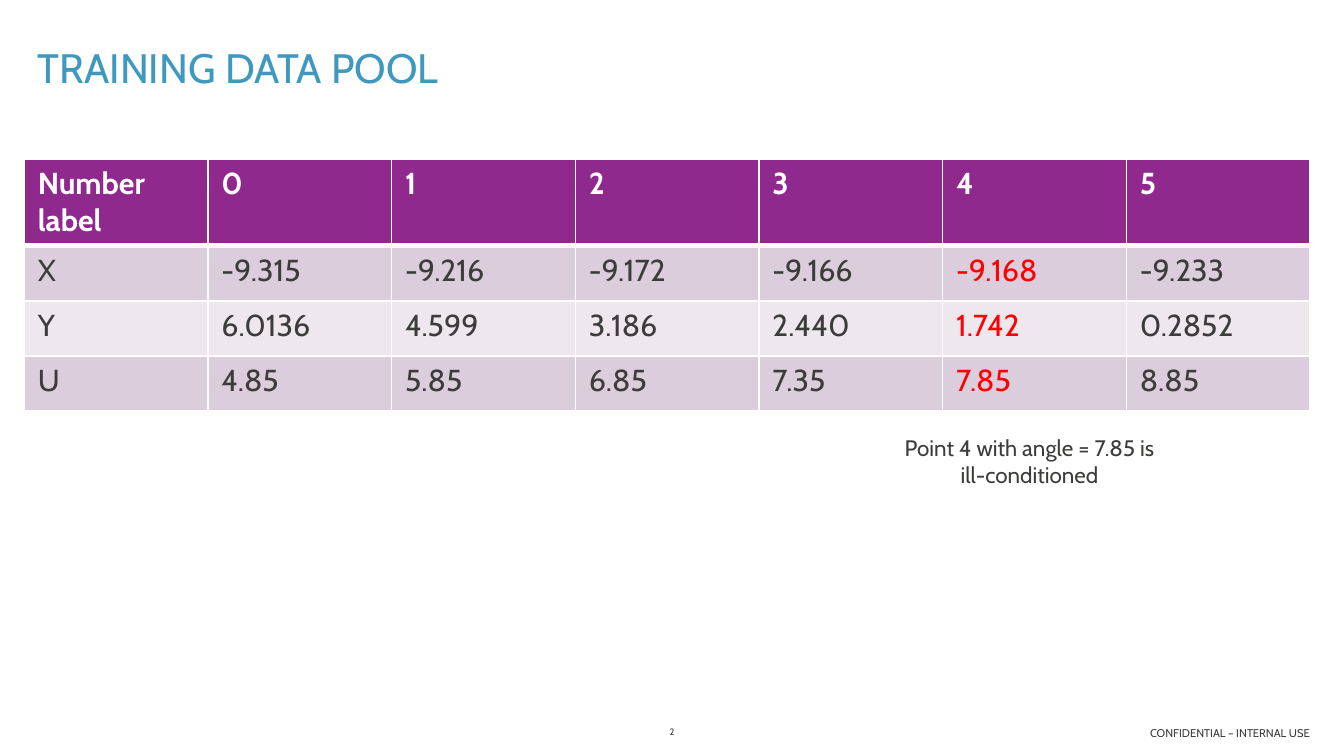
from lxml import etree
from pptx import Presentation
from pptx import util as u
from pptx.dml.color import RGBColor
from pptx.enum import text as t
from pptx.oxml import ns

COLORS = {
    "title": "3F98BD", "body": "3C3C3B", "alert": "FF0000", "white": "FFFFFF",
    "header": "90298D", "band_dark": "DBCDDB", "band_light": "EEE8EE",
}
HEADER = ["Number label", "0", "1", "2", "3", "4", "5"]
READINGS = [
    ["X", "-9.315", "-9.216", "-9.172", "-9.166", "-9.168", "-9.233"],
    ["Y", "6.0136", "4.599", "3.186", "2.440", "1.742", "0.2852"],
    ["U", "4.85", "5.85", "6.85", "7.35", "7.85", "8.85"],
]
ILL_CONDITIONED = HEADER.index("4")


def write(frame, text, size=12, color="body", bold=False,
          align=t.PP_ALIGN.LEFT, anchor=t.MSO_ANCHOR.TOP):
    frame.word_wrap = True
    frame.vertical_anchor = anchor
    paragraph = frame.paragraphs[0]
    paragraph.alignment = align
    run = paragraph.add_run()
    run.text = text
    run.font.name = "Cabin"
    run.font.size = u.Pt(size)
    run.font.bold = bold
    run.font.color.rgb = RGBColor.from_string(COLORS[color])


def place(shape, left, top, width, height):
    shape.left, shape.top = u.Cm(left), u.Cm(top)
    shape.width, shape.height = u.Cm(width), u.Cm(height)


def add_borders(cell, color, **widths):
    """Draw cell sides L, R, T and B with the given widths in points."""
    properties = cell._tc.get_or_add_tcPr()
    for side, width in widths.items():
        line = etree.SubElement(properties, ns.qn(f"a:ln{side}"), w=str(u.Pt(width)))
        fill = etree.SubElement(line, ns.qn("a:solidFill"))
        etree.SubElement(fill, ns.qn("a:srgbClr"), val=COLORS[color])


class SlideBuilder:
    def __init__(self, presentation):
        self.slide = presentation.slides.add_slide(presentation.slide_layouts[5])

    def title(self, text, *box):
        title = self.slide.shapes.title
        place(title, *box)
        title.text_frame.auto_size = t.MSO_AUTO_SIZE.NONE
        write(title.text_frame, text, size=22, color="title",
              anchor=t.MSO_ANCHOR.BOTTOM)

    def label(self, text, *box, right_inset=0.25, **style):
        shape = self.slide.shapes.add_textbox(*map(u.Cm, box))
        shape.text_frame.margin_right = u.Cm(right_inset)
        write(shape.text_frame, text, **style)

    def table(self, rows, left, top, width, header_height, row_height):
        height = header_height + row_height * (len(rows) - 1)
        table = self.slide.shapes.add_table(
            len(rows), len(rows[0]), *map(u.Cm, (left, top, width, height))).table
        for column in table.columns:
            column.width = u.Cm(width / len(rows[0]))
        for i, values in enumerate(rows):
            table.rows[i].height = u.Cm(row_height if i else header_height)
            for j, value in enumerate(values):
                self.cell(table.cell(i, j), value, i, j)

    def cell(self, cell, value, row, column):
        is_header = row == 0
        if is_header:
            fill, color = "header", "white"
        else:
            fill = "band_dark" if row % 2 else "band_light"
            color = "alert" if column == ILL_CONDITIONED else "body"
        add_borders(cell, "white", L=1, R=1, T=3 if row == 1 else 1,
                    B=3 if is_header else 1)
        cell.fill.solid()
        cell.fill.fore_color.rgb = RGBColor.from_string(COLORS[fill])
        write(cell.text_frame, value, size=16.2, color=color, bold=is_header)


def main():
    presentation = Presentation()
    presentation.slide_width, presentation.slide_height = u.Cm(25.4), u.Cm(14.28)
    builder = SlideBuilder(presentation)
    builder.title("TRAINING DATA POOL", 0.46, 0.66, 24.3, 1.2)
    builder.table([HEADER] + READINGS, 0.46, 3, 24.3, 1.62, 1.04)
    builder.label("Point 4 with angle = 7.85 is ill-conditioned",
                  16.82, 8.08, 5.28, 1.27, align=t.PP_ALIGN.CENTER)
    builder.label("2", 11.5, 13.59, 2.4, 0.48, size=5,
                  align=t.PP_ALIGN.CENTER, anchor=t.MSO_ANCHOR.MIDDLE)
    builder.label("CONFIDENTIAL – INTERNAL USE", 13.95, 13.59, 10.8, 0.51,
                  size=6, align=t.PP_ALIGN.RIGHT, right_inset=0)
    presentation.save("out.pptx")


if __name__ == "__main__":
    main()
